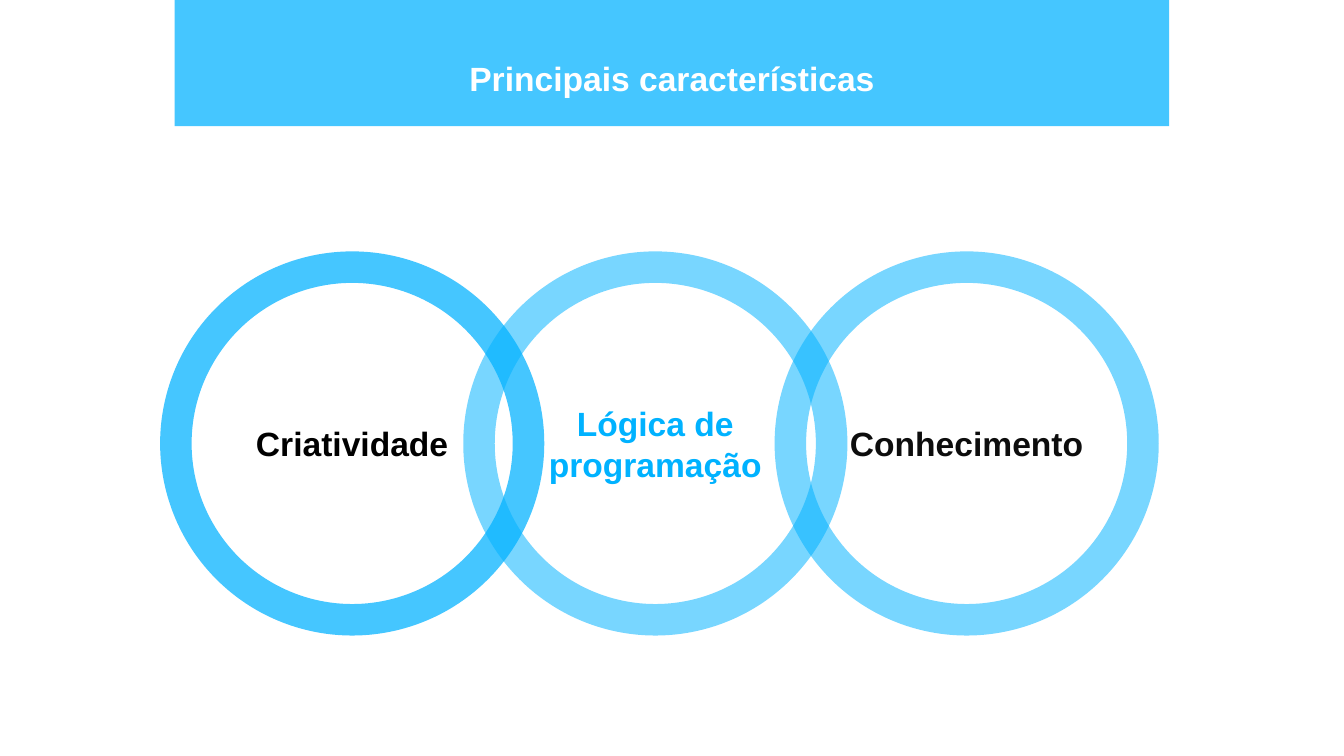
from lxml import etree
from pptx import Presentation
from pptx.dml.color import RGBColor
from pptx.enum.shapes import MSO_SHAPE
from pptx.enum.text import MSO_ANCHOR, PP_ALIGN
from pptx.oxml.ns import qn
from pptx.util import Pt

BLUE = RGBColor(0x00, 0xB2, 0xFF)
WHITE = RGBColor(0xFF, 0xFF, 0xFF)
BLACK = RGBColor(0x00, 0x00, 0x00)
NEAR_BLACK = RGBColor(0x0D, 0x0D, 0x0D)

BANNER_LEFT, BANNER_WIDTH, BANNER_HEIGHT = 93.6, 532.8, 67.6
RING_TOP, RING_SIZE, RING_THICKNESS = 134.7, 205.8, 0.082
STRONG, LIGHT = 73, 53

# Back to front: left edge, label, label colour, opacity
RINGS = [
    (85.8, "Criatividade", BLACK, STRONG),
    (415, "Conhecimento", NEAR_BLACK, LIGHT),
    (248.2, "Lógica de programação", BLUE, LIGHT),
]


class SlideBuilder:
    font_name = "Arial"
    font_size = Pt(18)
    inset = Pt(7.2)

    def __init__(self, slide):
        self.slide = slide

    def add_text(self, shape, text, color, anchor):
        frame = shape.text_frame
        frame.word_wrap = True
        frame.vertical_anchor = anchor
        frame.margin_left = frame.margin_right = self.inset
        frame.margin_top = frame.margin_bottom = self.inset
        paragraph = frame.paragraphs[0]
        paragraph.alignment = PP_ALIGN.CENTER
        paragraph.line_spacing = 1.0
        paragraph.space_before = Pt(0)
        run = paragraph.add_run()
        run.text = text
        run.font.name = self.font_name
        run.font.size = self.font_size
        run.font.bold = True
        run.font.color.rgb = color

    def add_tinted_shape(self, kind, left, top, width, height, opacity):
        """Add an unoutlined blue shape; opacity is a percentage."""
        shape = self.slide.shapes.add_shape(
            kind, Pt(left), Pt(top), Pt(width), Pt(height))
        shape.shadow.inherit = False
        shape.line.fill.background()
        shape.fill.solid()
        shape.fill.fore_color.rgb = BLUE
        fill = shape.element.spPr.find(qn("a:solidFill"))
        etree.SubElement(fill[0], qn("a:alpha"), val=str(opacity * 1000))
        return shape

    def add_banner(self):
        banner = self.add_tinted_shape(
            MSO_SHAPE.RECTANGLE, BANNER_LEFT, 0, BANNER_WIDTH, BANNER_HEIGHT, STRONG)
        # The title placeholder comes first in the tree; put the banner behind it.
        self.slide.shapes.title.element.addprevious(banner.element)

    def add_title(self, text):
        title = self.slide.shapes.title
        title.left, title.top = Pt(BANNER_LEFT), Pt(23.8)
        title.width, title.height = Pt(BANNER_WIDTH), Pt(39.6)
        self.add_text(title, text, WHITE, MSO_ANCHOR.TOP)

    def add_ring(self, left, label, color, opacity):
        ring = self.add_tinted_shape(
            MSO_SHAPE.DONUT, left, RING_TOP, RING_SIZE, RING_SIZE, opacity)
        ring.adjustments[0] = RING_THICKNESS
        self.add_text(ring, label, color, MSO_ANCHOR.MIDDLE)


def main():
    presentation = Presentation()
    presentation.slide_width, presentation.slide_height = Pt(720), Pt(405)
    title_only = presentation.slide_layouts[5]
    builder = SlideBuilder(presentation.slides.add_slide(title_only))
    builder.add_banner()
    builder.add_title("Principais características")
    for ring in RINGS:
        builder.add_ring(*ring)
    presentation.save("out.pptx")


if __name__ == "__main__":
    main()
